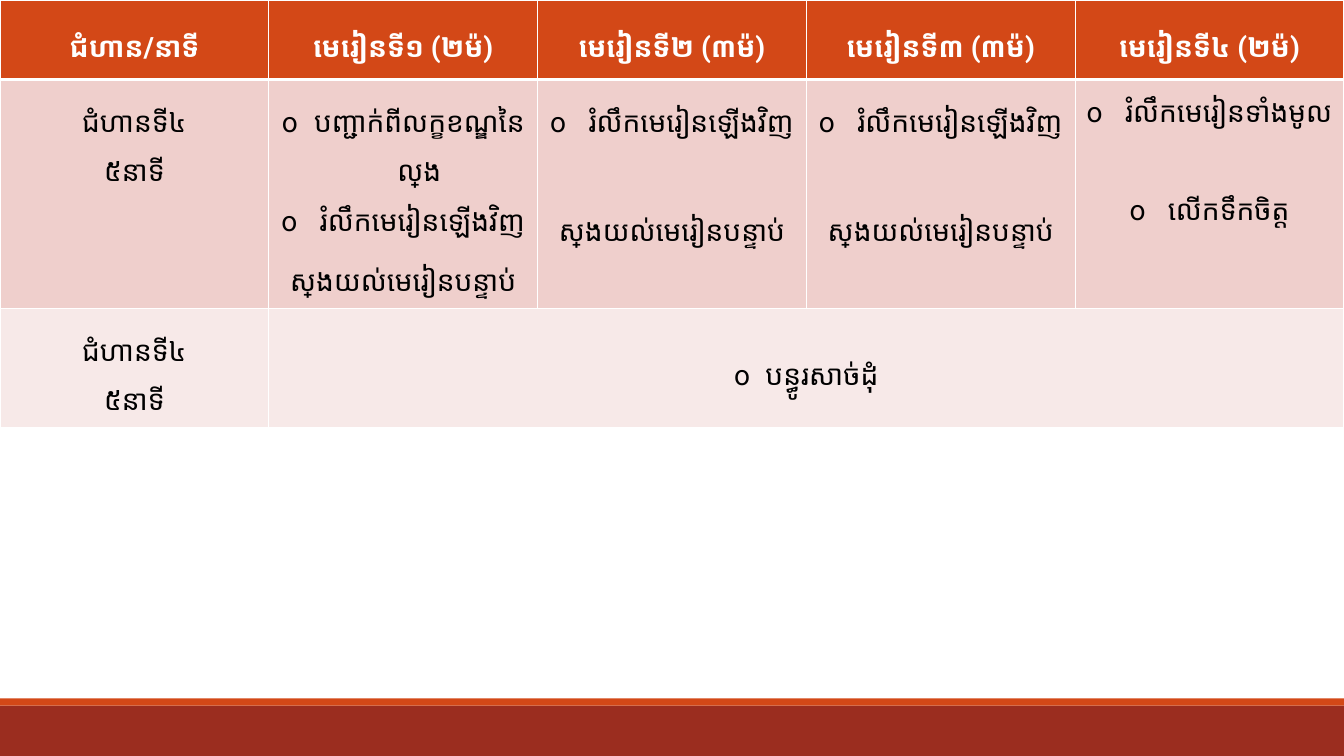
from dataclasses import dataclass

from lxml import etree
from pptx import Presentation
from pptx import util as u
from pptx.dml.color import RGBColor
from pptx.enum import shapes, text
from pptx.oxml import ns


@dataclass(frozen=True)
class Theme:
    font: str = "Roboto"
    size: int = 20
    white: str = "FFFFFF"
    ink: str = "000000"
    orange: str = "D34817"
    brick: str = "9B2D1F"
    pink: str = "EFCFCC"
    blush: str = "F7E9E8"


THEME = Theme()
HEADINGS = ["ជំហាន/នាទី", "មេរៀនទី១ (២ម៉)", "មេរៀនទី២ (៣ម៉)",
            "មេរៀនទី៣ (៣ម៉)", "មេរៀនទី៤ (២ម៉)"]
STEP = [("ជំហានទី៤", {}), ("៥នាទី", {})]
REVIEW = "រំលឹកមេរៀនឡើងវិញ"
NEXT_LESSON = "ស្វែងយល់មេរៀនបន្ទាប់"
MIDDLE_LESSON = [(REVIEW, {"hang": 0.38}), (NEXT_LESSON, {"before": 43})]
LESSONS = [
    [("បញ្ជាក់ពីលក្ខខណ្ឌនៃល្បែង", {"hang": 0.32}),
     (REVIEW, {"hang": 0.38, "after": 8}),
     (NEXT_LESSON, {})],
    MIDDLE_LESSON,
    MIDDLE_LESSON,
    [("រំលឹកមេរៀនទាំងមូល", {"hang": 0.38}),
     ("លើកទឹកចិត្ត", {"hang": 0.38, "before": 35})],
]
CLOSING = [("បន្ធូរសាច់ដុំ", {"hang": 0.31})]


def child(parent, tag, **attributes):
    return etree.SubElement(parent, ns.qn(tag), attributes)


def write(paragraph, wording, color=THEME.ink, bold=False, hang=0, before=0, after=0):
    paragraph.alignment = text.PP_ALIGN.CENTER
    paragraph.line_spacing = 1.5
    paragraph.space_before = u.Pt(before)
    paragraph.space_after = u.Pt(after)
    if hang:
        properties = paragraph._p.get_or_add_pPr()
        properties.set("marL", str(u.Inches(hang)))
        properties.set("indent", str(u.Inches(-hang)))
        child(properties, "a:buFont", typeface=THEME.font)
        child(properties, "a:buChar", char="o")
    run = paragraph.add_run()
    run.text = wording
    run.font.size = u.Pt(THEME.size)
    run.font.bold = bold
    run.font.color.rgb = RGBColor.from_string(color)
    run.font.name = THEME.font
    child(run._r.get_or_add_rPr(), "a:cs", typeface=THEME.font)


def draw_borders(cell, top=1, bottom=1):
    properties = cell._tc.get_or_add_tcPr()
    widths = {"a:lnL": 1, "a:lnR": 1, "a:lnT": top, "a:lnB": bottom}
    for position, (tag, width) in enumerate(widths.items()):
        line = child(properties, tag, w=str(u.Pt(width)))
        child(child(line, "a:solidFill"), "a:srgbClr", val=THEME.white)
        properties.insert(position, line)


def fill_cell(cell, entries, fill, middle=False, insets=(0.1, 0.1), top=1, bottom=1):
    cell.fill.solid()
    cell.fill.fore_color.rgb = RGBColor.from_string(fill)
    cell.vertical_anchor = text.MSO_ANCHOR.MIDDLE if middle else text.MSO_ANCHOR.TOP
    cell.margin_left = cell.margin_right = u.Inches(insets[0])
    cell.margin_top = cell.margin_bottom = u.Inches(insets[1])
    draw_borders(cell, top, bottom)
    frame = cell.text_frame
    for index, (wording, style) in enumerate(entries):
        paragraph = frame.add_paragraph() if index else frame.paragraphs[0]
        write(paragraph, wording, **style)


def add_lesson_plan(slide, left, top, width):
    heights = [0.79, 1.98, 1.03]
    plan = slide.shapes.add_table(
        len(heights), len(HEADINGS), u.Inches(left), u.Inches(top),
        u.Inches(width), u.Inches(sum(heights))).table
    for row, height in zip(plan.rows, heights):
        row.height = u.Inches(height)

    heading_style = {"color": THEME.white, "bold": True}
    for column, heading in enumerate(HEADINGS):
        fill_cell(plan.cell(0, column), [(heading, heading_style)], THEME.orange,
                  middle=True, bottom=3)

    for column, entries in enumerate([STEP, *LESSONS]):
        last = column == len(LESSONS)
        fill_cell(plan.cell(1, column), entries, THEME.pink, top=3,
                  insets=(0.07, 0) if last else (0.1, 0.1))

    plan.cell(2, 1).merge(plan.cell(2, len(LESSONS)))
    fill_cell(plan.cell(2, 0), STEP, THEME.blush)
    fill_cell(plan.cell(2, 1), CLOSING, THEME.blush, middle=True)


def add_footer(slide, left, top, width, height):
    stripe = 0.07
    bands = [(top + stripe, height - stripe, THEME.brick), (top, stripe, THEME.orange)]
    for band_top, band_height, color in bands:
        band = slide.shapes.add_shape(
            shapes.MSO_SHAPE.RECTANGLE, u.Inches(left), u.Inches(band_top),
            u.Inches(width), u.Inches(band_height))
        band.shadow.inherit = False
        band.fill.solid()
        band.fill.fore_color.rgb = RGBColor.from_string(color)
        band.line.fill.background()


def main():
    width, height = 13.33, 7.5
    deck = Presentation()
    deck.slide_width, deck.slide_height = u.Inches(width), u.Inches(height)
    slide = deck.slides.add_slide(deck.slide_layouts[6])
    add_footer(slide, 0, 6.93, width, 0.57)
    add_lesson_plan(slide, 0, 0, width)
    deck.save("out.pptx")


if __name__ == "__main__":
    main()
